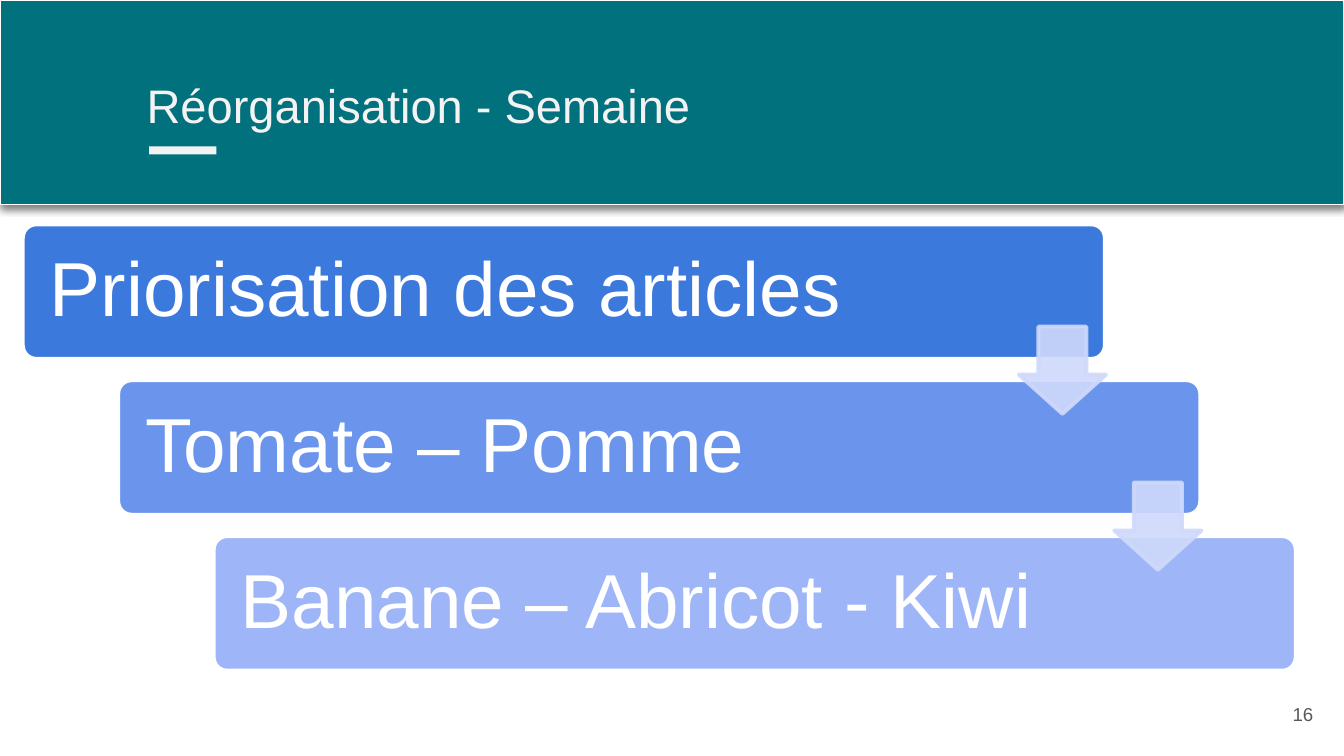
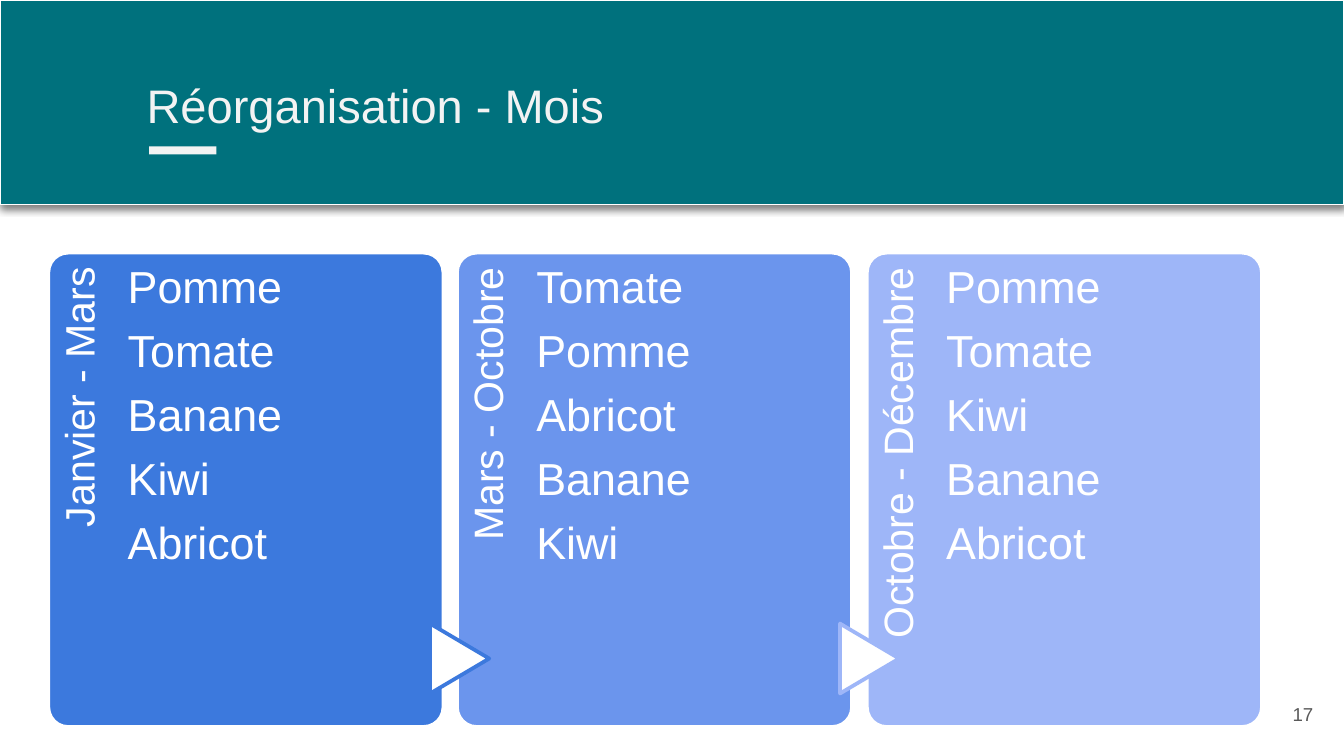
from pptx import Presentation
from pptx.dml.color import RGBColor as RGB
from pptx.enum.shapes import MSO_SHAPE as SHAPE
from pptx.enum.text import MSO_ANCHOR as ANCHOR, MSO_AUTO_SIZE as SIZE, PP_ALIGN as ALIGN
from pptx.oxml import parse_xml
from pptx.oxml.ns import nsdecls, qn
from pptx.util import Emu, Pt
from lxml import etree

PX = 9144
FONT = "Arial"
COLORS = {
    "white": "FFFFFF", "band": "00717D", "pale": "F3F3F3", "gray": "595959",
    "deep": "3C79DD", "mid": "6B95ED", "light": "9EB6F8", "arrow": "CFD9FB",
}
TONES = ["deep", "mid", "light"]
MARKS = [None, "deep", "light"]
STEPS = ["Priorisation des articles", "Tomate – Pomme", "Banane – Abricot - Kiwi"]
TERMS = [
    ("Janvier - Mars", ["Pomme", "Tomate", "Banane", "Kiwi", "Abricot"]),
    ("Mars - Octobre", ["Tomate", "Pomme", "Abricot", "Banane", "Kiwi"]),
    ("Octobre - Décembre", ["Pomme", "Tomate", "Kiwi", "Banane", "Abricot"]),
]


def px(*nums):
    return [Emu(n * PX) for n in nums]


def color(name):
    return RGB.from_string(COLORS[name])


def draw(slide, kind, box, fill, line=None, width=2, adjust=()):
    shape = slide.shapes.add_shape(kind, *px(*box))
    shape.shadow.inherit = False
    shape.fill.solid()
    shape.fill.fore_color.rgb = color(fill)
    if line:
        shape.line.color.rgb = color(line)
        shape.line.width = Pt(width)
    else:
        shape.line.fill.background()
    for i, value in enumerate(adjust):
        shape.adjustments[i] = value
    return shape


def fill_text(shape, lines, size, tone, pad, align=ALIGN.LEFT, anchor=ANCHOR.TOP,
              lead=None, after=0):
    frame = shape.text_frame
    frame.word_wrap = True
    frame.auto_size = SIZE.NONE
    frame.vertical_anchor = anchor
    (frame.margin_left, frame.margin_top,
     frame.margin_right, frame.margin_bottom) = px(*pad)
    frame.text = "\n".join(lines)
    for para in frame.paragraphs:
        para.alignment = align
        para.line_spacing = lead
        para.space_before = Pt(0)
        para.space_after = Pt(after)
        para.font.name = FONT
        para.font.size = Pt(size)
        para.font.color.rgb = color(tone)


def write(slide, box, *args, **opts):
    shape = slide.shapes.add_textbox(*px(*box))
    fill_text(shape, *args, **opts)
    return shape


def cast(shape):
    effects = shape._element.spPr.find(qn("a:effectLst"))
    effects.append(parse_xml(
        f'<a:outerShdw {nsdecls("a")} blurRad="57150" dist="19050" dir="5400000" '
        'algn="bl" rotWithShape="0"><a:srgbClr val="000000">'
        '<a:alpha val="49000"/></a:srgbClr></a:outerShdw>'))


def fade(shape, share):
    for tint in shape._element.spPr.iter(qn("a:srgbClr")):
        etree.SubElement(tint, qn("a:alpha")).set("val", str(share * 1000))


def add_page(deck, title, number):
    slide = deck.slides.add_slide(deck.slide_layouts[5])
    cast(draw(slide, SHAPE.RECTANGLE, (0, 0, 1000, 152), "band", "white", 0.75))
    draw(slide, SHAPE.RECTANGLE, (111, 109, 50, 6), "pale")
    head = slide.shapes.title
    head.left, head.top, head.width, head.height = px(99, 46, 932, 63)
    fill_text(head, [title], 25.2, "pale", [10] * 4, anchor=ANCHOR.BOTTOM)
    slide.shapes._spTree.append(head._element)
    write(slide, (927, 510, 60, 43), [str(number)], 10, "gray", [10] * 4,
          align=ALIGN.RIGHT, anchor=ANCHOR.MIDDLE)
    return slide


def add_steps(slide, left, top):
    spots = [(left + 71 * i, top + 116 * i) for i in range(len(STEPS))]
    for i, ((x, y), step) in enumerate(zip(spots, STEPS)):
        draw(slide, SHAPE.ROUNDED_RECTANGLE, (x, y, 805, 100), TONES[i], "white",
             adjust=[0.1])
        write(slide, (x + 3, y + 3, 663 if i else 698, 94), [step], 41, "white",
              [17] * 4, anchor=ANCHOR.MIDDLE, lead=0.9)
    for x, y in spots[:-1]:
        arrow = draw(slide, SHAPE.DOWN_ARROW, (x + 741, y + 76, 65, 65), "arrow", "arrow",
                     adjust=[0.55, 0.45])
        fade(arrow, 90)


def add_terms(slide, left, top):
    for i, (term, fruits) in enumerate(TERMS):
        x = left + 609 * i // 2
        draw(slide, SHAPE.ROUNDED_RECTANGLE, (x, top, 294, 353), TONES[i], "white",
             adjust=[0.05])
        label = write(slide, (x - 115, top + 115, 289, 59), [term], 22, "white",
                      (0, 8, 11, 0), align=ALIGN.RIGHT, lead=0.9)
        label.rotation = 270
        if MARKS[i]:
            mark = draw(slide, SHAPE.FLOWCHART_EXTRACT, (x - 24, top + 280, 52, 44),
                        "white", MARKS[i])
            mark.rotation = 90
        write(slide, (x + 59, top, 219, 353), fruits, 24, "white", (0, 9, 0, 0),
              lead=0.9, after=8.4)


def main():
    deck = Presentation()
    deck.slide_width = Emu(1000 * PX)
    deck.slide_height = Emu(deck.slide_width * 9 // 16)
    add_steps(add_page(deck, "Réorganisation - Semaine", 16), 17, 167)
    add_terms(add_page(deck, "Réorganisation - Mois", 17), 36, 188)
    deck.save("out.pptx")


if __name__ == "__main__":
    main()
